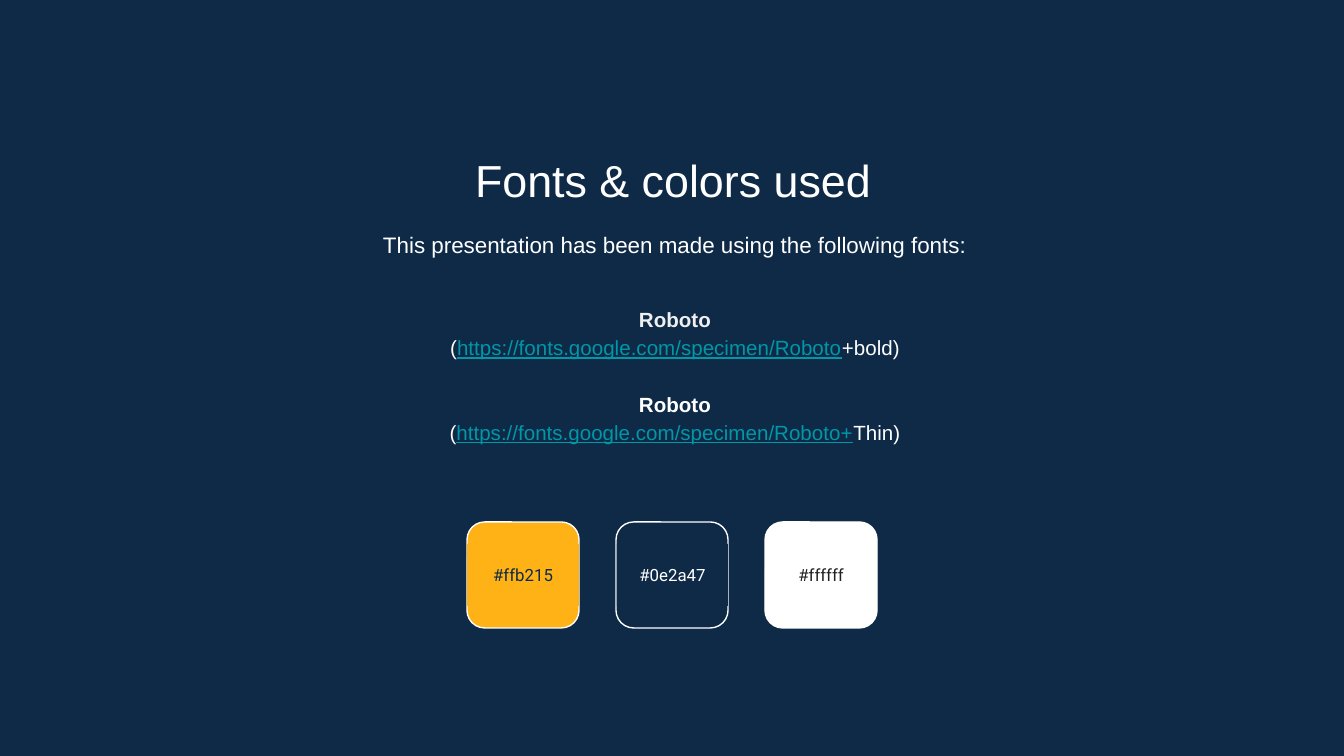
from typing import NamedTuple

from pptx import Presentation
from pptx.dml.color import RGBColor
from pptx.enum.shapes import MSO_SHAPE as Shape
from pptx.enum.text import MSO_ANCHOR as Anchor, PP_ALIGN as Align
from pptx.util import Pt

PX = 914400 / 134.4  # EMU in one px

COLORS = {
    "navy": "0E2A47",
    "amber": "FFB215",
    "white": "FFFFFF",
    "pale": "EFEFEF",
    "link": "0097A7",
    "ink": "212121",
}


class Box(NamedTuple):
    left: int
    top: int
    width: int
    height: int


class Run(NamedTuple):
    text: str
    color: str = "white"
    underline: bool = False


class Line(NamedTuple):
    runs: list[Run]
    size: int
    bold: bool = False
    font: str = "Arial"
    spacing: float = 1.0
    before: int = 0


class FontEntry(NamedTuple):
    name_color: str
    link: str
    ending: str


class Swatch(NamedTuple):
    code: str
    fill: str
    ink: str
    label_inset: int = 0


def px(length: int) -> int:
    return round(length * PX)


def rgb(name: str) -> RGBColor:
    return RGBColor.from_string(COLORS[name])


def write(frame, lines: list[Line], anchor=Anchor.TOP) -> None:
    """Fill a text frame with centred lines."""
    frame.word_wrap = True
    frame.vertical_anchor = anchor
    frame.margin_left = frame.margin_right = px(13)
    frame.margin_top = frame.margin_bottom = px(13)
    for index, line in enumerate(lines):
        paragraph = frame.add_paragraph() if index else frame.paragraphs[0]
        paragraph.alignment = Align.CENTER
        paragraph.line_spacing = line.spacing
        if line.before:
            paragraph.space_before = Pt(line.before)
        paragraph.font.name = line.font
        paragraph.font.size = Pt(line.size)
        paragraph.font.bold = line.bold
        for part in line.runs:
            run = paragraph.add_run()
            run.text = part.text
            run.font.color.rgb = rgb(part.color)
            if part.underline:
                run.font.underline = True


def add_text(slide, box: Box, lines: list[Line], anchor=Anchor.TOP) -> None:
    write(slide.shapes.add_textbox(*map(px, box)).text_frame, lines, anchor)


def add_tile(shapes, kind, box: Box, fill: str, outline: str = ""):
    tile = shapes.add_shape(kind, *map(px, box))
    tile.shadow.inherit = False
    tile.fill.solid()
    tile.fill.fore_color.rgb = rgb(fill)
    if outline:
        tile.line.color.rgb = rgb(outline)
        tile.line.width = Pt(0.75)
    else:
        tile.line.fill.background()
    return tile


def add_swatch(slide, left: int, swatch: Swatch) -> None:
    """Draw an outlined colour tile with its code on a band across it."""
    shapes = slide.shapes.add_group_shape().shapes
    add_tile(shapes, Shape.ROUNDED_RECTANGLE, Box(left, 522, 112, 106),
             swatch.fill, "white")
    inset = swatch.label_inset
    label = add_tile(shapes, Shape.RECTANGLE,
                     Box(left + inset, 544, 112 - inset, 62), swatch.fill)
    write(label.text_frame,
          [Line([Run(swatch.code, swatch.ink)], 9, font="Roboto")], Anchor.MIDDLE)


FONT_ENTRIES = [
    FontEntry("pale", "https://fonts.google.com/specimen/Roboto", "+bold)"),
    FontEntry("white", "https://fonts.google.com/specimen/Roboto+", "Thin)"),
]
SWATCHES = [
    Swatch("#ffb215", "amber", "navy"),
    Swatch("#0e2a47", "navy", "white", label_inset=1),
    Swatch("#ffffff", "white", "ink"),
]
SWATCH_LEFT, SWATCH_PITCH = 467, 149


def main() -> None:
    deck = Presentation()
    deck.slide_width, deck.slide_height = px(1344), px(756)
    slide = deck.slides.add_slide(deck.slide_layouts[6])
    slide.background.fill.solid()
    slide.background.fill.fore_color.rgb = rgb("navy")

    # Heading and introduction
    add_text(slide, Box(155, 140, 1036, 71), [Line([Run("Fonts & colors used")], 24)])
    intro = "This presentation has been made using the following fonts:"
    add_text(slide, Box(157, 214, 1036, 65), [Line([Run(intro)], 12, spacing=1.15)])

    # Font names, each with its address
    font_lines = []
    for index, entry in enumerate(FONT_ENTRIES):
        address = [Run("("), Run(entry.link, "link", True), Run(entry.ending)]
        font_lines += [
            Line([Run("Roboto", entry.name_color)], 11, bold=True, spacing=1.15,
                 before=15 if index else 0),
            Line(address, 11, spacing=1.15),
        ]
    add_text(slide, Box(157, 282, 1036, 184), font_lines, Anchor.MIDDLE)

    # Colour swatches
    for index, swatch in enumerate(SWATCHES):
        add_swatch(slide, SWATCH_LEFT + index * SWATCH_PITCH, swatch)

    deck.save("out.pptx")


if __name__ == "__main__":
    main()
